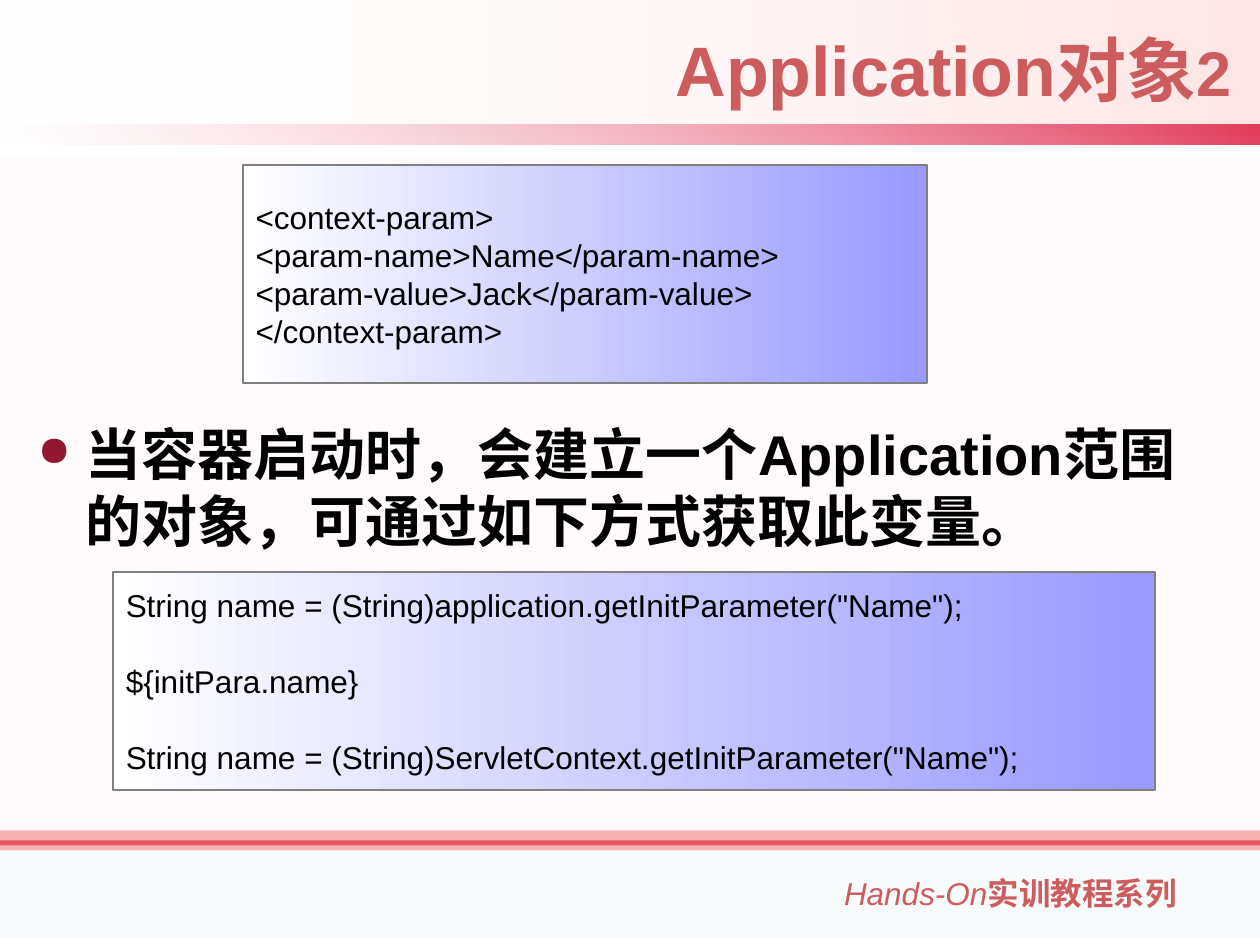
from lxml.etree import SubElement
from pptx import Presentation
from pptx.dml.color import RGBColor
from pptx.enum.shapes import MSO_SHAPE
from pptx.enum.text import MSO_ANCHOR, PP_ALIGN
from pptx.oxml.ns import qn
from pptx.util import Inches, Pt

COLS, ROWS = 100, 75
TITLE = dict(size=Pt(40), bold=True)
BODY = dict(size=Pt(32), bold=True)
PLAIN = dict(size=Pt(18))
CODE_GRADIENT = [("9999FF", 100), ("FFFFFF", 100)]


def rgb(value):
    return RGBColor.from_string(value)


class Deck:
    font, ink, accent, border, bullet_ink = "Arial", "000000", "CD5C5C", "808080", "921832"

    def __init__(self):
        self.prs = Presentation()
        self.prs.slide_width, self.prs.slide_height = Inches(10), Inches(7.5)
        self.slide = self.prs.slides.add_slide(self.prs.slide_layouts[6])

    def place(self, col, row, cols, rows):
        """Turn a grid cell range into left, top, width and height."""
        dx, dy = self.prs.slide_width / COLS, self.prs.slide_height / ROWS
        return [int(v) for v in (col * dx, row * dy, cols * dx, rows * dy)]

    def band(self, area, *colors):
        """Draw a rectangle from (colour, opacity %) pairs; two pairs run right to left."""
        sp = self.slide.shapes.add_shape(MSO_SHAPE.RECTANGLE, *self.place(*area))
        sp.shadow.inherit = False
        sp.line.fill.background()
        if len(colors) == 1:
            sp.fill.solid()
            sp.fill.fore_color.rgb = rgb(colors[0][0])
        else:
            sp.fill.gradient()
            sp.fill.gradient_angle = 180
            for stop, (color, _) in zip(sp.fill.gradient_stops, colors):
                stop.color.rgb = rgb(color)
        for clr, (_, opacity) in zip(sp._element.spPr.iter(qn("a:srgbClr")), colors):
            if opacity < 100:
                SubElement(clr, qn("a:alpha"), val=str(opacity * 1000))
        return sp

    def fill_frame(self, tf, paragraphs, color, wrap=True, anchor=MSO_ANCHOR.TOP, **para):
        """Fill a frame; each paragraph is a list of (text, font values)."""
        tf.word_wrap, tf.vertical_anchor = wrap, anchor
        for i, runs in enumerate(paragraphs):
            p = tf.add_paragraph() if i else tf.paragraphs[0]
            p.alignment = para.get("align", PP_ALIGN.LEFT)
            p.space_before = Pt(para.get("gap", 0) if i else para.get("before", 0))
            for text, values in runs:
                r = p.add_run()
                r.text = text
                r.font.color.rgb = rgb(color)
                for name, value in {"name": self.font, **values}.items():
                    setattr(r.font, name, value)

    def text(self, area, runs, color, **layout):
        sp = self.slide.shapes.add_textbox(*self.place(*area))
        self.fill_frame(sp.text_frame, [runs], color, **layout)
        return sp.text_frame

    def bullet(self, area, runs):
        p = self.text(area, runs, self.ink, before=8).paragraphs[0]
        pPr = p._p.get_or_add_pPr()
        indent = Inches(0.38)
        pPr.set("marL", str(int(indent)))
        pPr.set("indent", str(-int(indent)))
        SubElement(SubElement(pPr, qn("a:buClr")), qn("a:srgbClr"), val=self.bullet_ink)
        SubElement(pPr, qn("a:buSzPct"), val="75000")
        SubElement(pPr, qn("a:buChar"), char="●")

    def code(self, area, lines, gap=0):
        sp = self.band(area, *CODE_GRADIENT)
        sp.line.color.rgb, sp.line.width = rgb(self.border), Pt(1)
        self.fill_frame(sp.text_frame, [[(line, PLAIN)] for line in lines], self.ink,
                        wrap=False, anchor=MSO_ANCHOR.MIDDLE, gap=gap)


def main():
    deck = Deck()
    deck.band((0, 66.7, COLS, 0.4), ("DC143C", 100))
    deck.band((0, 65.9, COLS, 1.6), ("F08080", 60))
    deck.band((0, 12.3, COLS, 53.5), ("FFF0F5", 30))
    deck.band((0, 67.4, COLS, 7.1), ("BBE0E3", 10))
    deck.text((66, 68.9, 29.9, 4), [("Hands-On", {**PLAIN, "italic": True}),
                                    ("实训教程系列", {**PLAIN, "bold": True})],
              deck.accent, wrap=False)
    deck.band((0, 0, COLS, 10.7), ("FFCCCC", 50), ("FFFFFF", 10))
    deck.band((0, 9.9, COLS, 1.6), ("DC143C", 80), ("FFFFFF", 40))

    deck.text((29, 1.9, 69.7, 7.1), [("Application对象", TITLE), ("2", {**TITLE, "size": Pt(36)})],
              deck.accent, anchor=MSO_ANCHOR.MIDDLE, align=PP_ALIGN.RIGHT)
    deck.bullet((2, 32.8, 95.3, 11.8),
                [("当容器启动时，会建立一个Application范围的对象，可通过如下方式获取此变量。", BODY)])
    deck.code((19.3, 13.1, 54.3, 17.3), [
        "<context-param>",
        "<param-name>Name</param-name>",
        "<param-value>Jack</param-value>",
        "</context-param>",
    ])
    deck.code((9, 45.4, 82.7, 17.3), [
        'String name = (String)application.getInitParameter("Name");',
        "${initPara.name}",
        'String name = (String)ServletContext.getInitParameter("Name");',
    ], gap=21.6)
    deck.prs.save("out.pptx")


if __name__ == "__main__":
    main()
